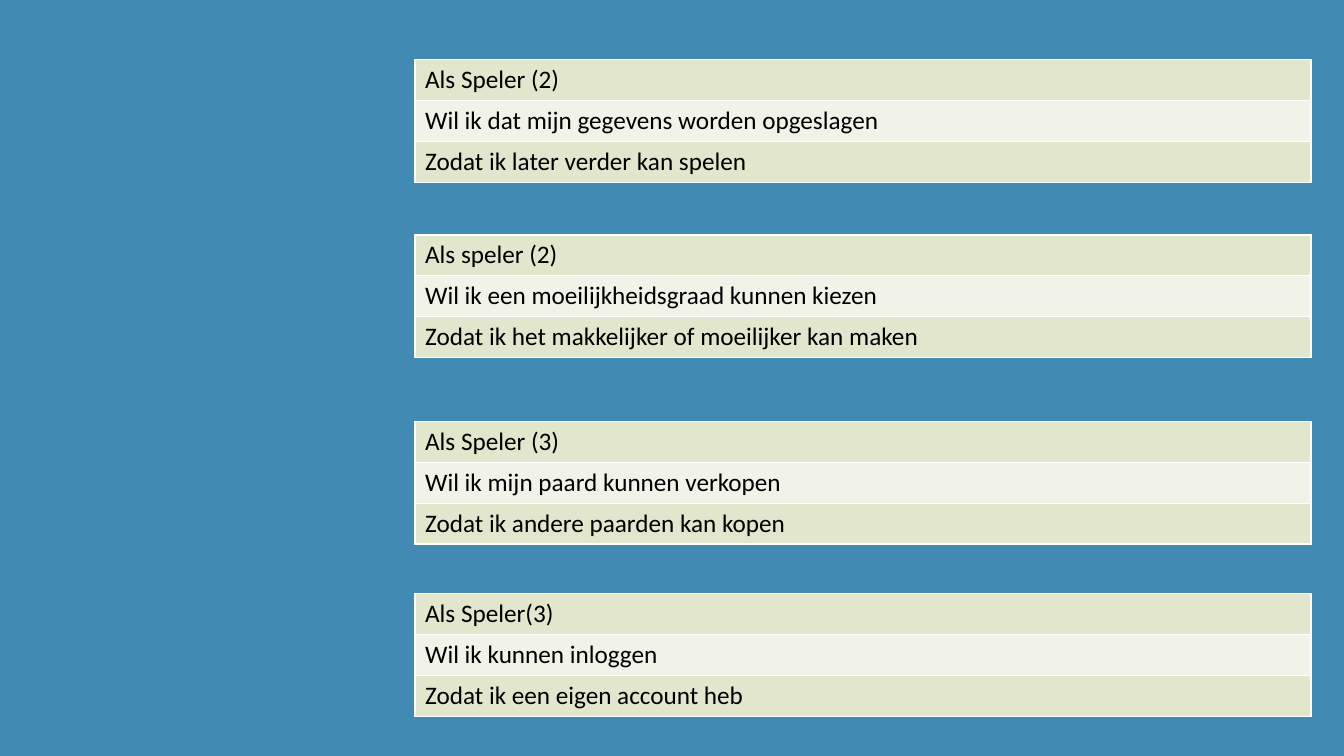
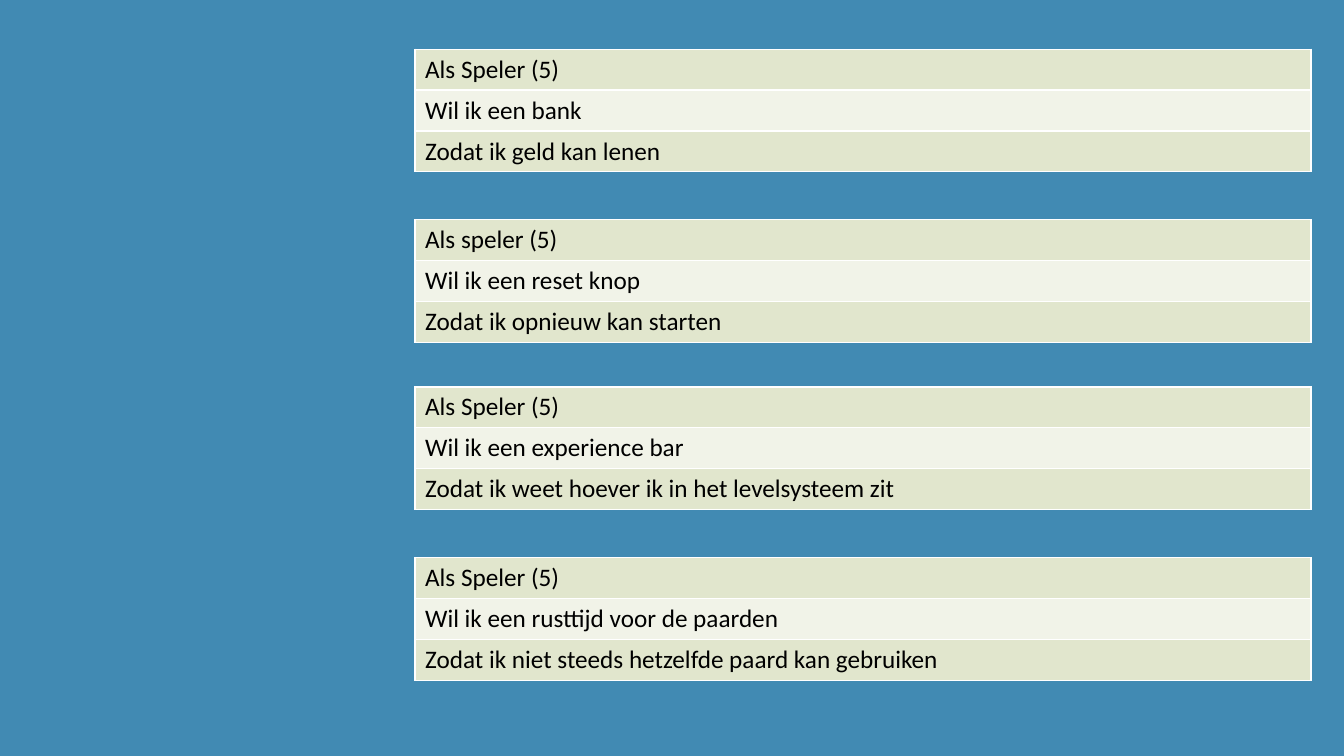
"""Build two slides of user stories, each story a three-row table."""
from lxml.etree import SubElement as Sub
from pptx import Presentation
from pptx.dml.color import RGBColor
from pptx.oxml.ns import qn
from pptx.util import Cm, Pt

BACK, EDGE, INK = "418AB3", "FFFFFF", "000000"
BANDS = ("E1E6CD", "F1F3E8")
FONT, SIZE = "Calibri", 18
LEFT, WIDTH, ROW = 10.46, 22.58, 1.03

SLIDES = [
    [
        (1.5, ("Als Speler (2)",
               "Wil ik dat mijn gegevens worden opgeslagen",
               "Zodat ik later verder kan spelen")),
        (5.92, ("Als speler (2)",
                "Wil ik een moeilijkheidsgraad kunnen kiezen",
                "Zodat ik het makkelijker of moeilijker kan maken")),
        (10.62, ("Als Speler (3)",
                 "Wil ik mijn paard kunnen verkopen",
                 "Zodat ik andere paarden kan kopen")),
        (14.96, ("Als Speler(3)",
                 "Wil ik kunnen inloggen",
                 "Zodat ik een eigen account heb")),
    ],
    [
        (1.24, ("Als Speler (5)",
                "Wil ik een bank",
                "Zodat ik geld kan lenen")),
        (5.54, ("Als speler (5)",
                "Wil ik een reset knop",
                "Zodat ik opnieuw kan starten")),
        (9.75, ("Als Speler (5)",
                "Wil ik een experience bar",
                "Zodat ik weet hoever ik in het levelsysteem zit")),
        (14.05, ("Als Speler (5)",
                 "Wil ik een rusttijd voor de paarden",
                 "Zodat ik niet steeds hetzelfde paard kan gebruiken")),
    ],
]


def paint(fill, color):
    fill.solid()
    fill.fore_color.rgb = RGBColor.from_string(color)


def add_edges(cell):
    props = cell._tc.get_or_add_tcPr()
    for side in ("a:lnL", "a:lnR", "a:lnT", "a:lnB"):
        line = Sub(props, qn(side), w=str(Pt(1)))
        Sub(Sub(line, qn("a:solidFill")), qn("a:srgbClr"), val=EDGE)


def add_story(slide, top, lines):
    count = len(lines)
    frame = slide.shapes.add_table(
        count, 1, Cm(LEFT), Cm(top), Cm(WIDTH), Cm(ROW * count))
    table = frame.table
    table.first_row = table.horz_banding = False
    for i, text in enumerate(lines):
        cell = table.cell(i, 0)
        add_edges(cell)
        paint(cell.fill, BANDS[i % 2])
        run = cell.text_frame.paragraphs[0].add_run()
        run.text = text
        run.font.name, run.font.size = FONT, Pt(SIZE)
        paint(run.font.fill, INK)


def main():
    deck = Presentation()
    deck.slide_width, deck.slide_height = Cm(33.87), Cm(19.05)
    for stories in SLIDES:
        slide = deck.slides.add_slide(deck.slide_layouts[6])
        paint(slide.background.fill, BACK)
        for top, lines in stories:
            add_story(slide, top, lines)
    deck.save("out.pptx")


if __name__ == "__main__":
    main()
